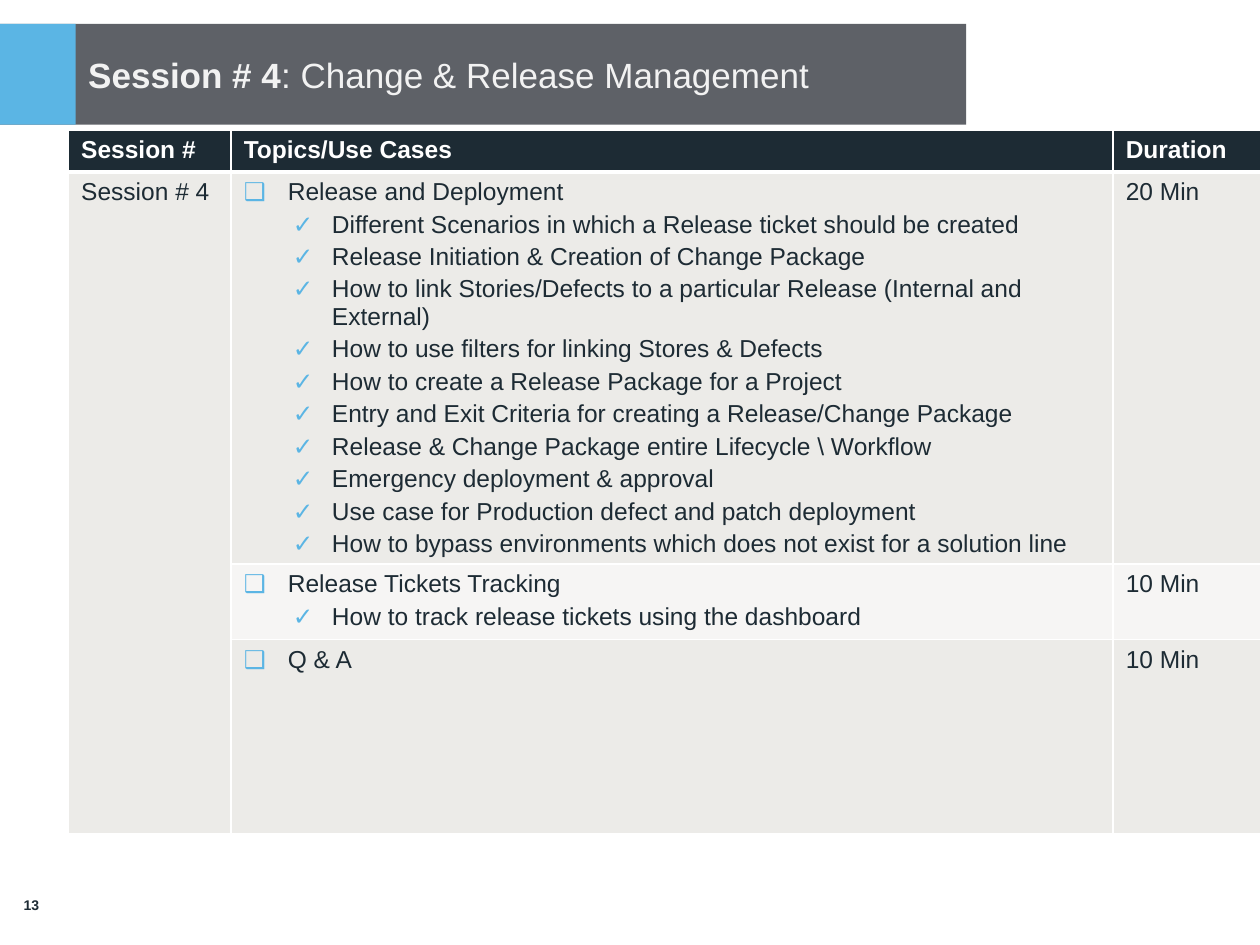
import pptx
import pptx.util
import pptx.dml.color
import pptx.enum.shapes
import pptx.enum.text
import pptx.oxml
import pptx.oxml.ns

Pt = pptx.util.Pt
RGB = pptx.dml.color.RGBColor
MIDDLE = pptx.enum.text.MSO_ANCHOR.MIDDLE
ALIGN = pptx.enum.text.PP_ALIGN

WHITE = RGB(0xFF, 0xFF, 0xFF)
OFF_WHITE = RGB(0xF2, 0xF2, 0xF2)
INK = RGB(0x1D, 0x2B, 0x34)
GREY = RGB(0x5E, 0x61, 0x67)
BLUE = RGB(0x5B, 0xB5, 0xE4)
BAND_DARK = RGB(0xEC, 0xEB, 0xE8)
BAND_LIGHT = RGB(0xF6, 0xF5, 0xF4)

HEADINGS = ["Session #", "Topics/Use Cases", "Duration"]
SESSION = "Session # 4"
TOPICS = [
    ("Release and Deployment", [
        "Different Scenarios in which a Release ticket should be created",
        "Release Initiation & Creation of Change Package",
        "How to link Stories/Defects to a particular Release (Internal and External)",
        "How to use filters for linking Stores & Defects",
        "How to create a Release Package for a Project",
        "Entry and Exit Criteria for creating a Release/Change Package",
        "Release & Change Package entire Lifecycle \\ Workflow",
        "Emergency deployment & approval",
        "Use case for Production defect and patch deployment",
        "How to bypass environments which does not exist for a solution line",
    ], "20 Min"),
    ("Release Tickets Tracking", ["How to track release tickets using the dashboard"], "10 Min"),
    ("Q & A", [], "10 Min"),
]
TITLE = [(SESSION, True), (": Change & Release Management", False)]
PAGE = "13"

COLUMNS = [92.9, 504, 84.2]
ROWS = [23.8, 223.5, 43.2, 110.9]
BULLETS = [("\u2751", 25.2, -25.2), ("\u2713", 50.4, -22.3)]
BANNER_TOP, BANNER_HEIGHT, BANNER_WIDTH, ACCENT_WIDTH = 13.7, 57.6, 552.2, 43.2


def write(paragraph, text, size, color, bold=False):
    run = paragraph.add_run()
    run.text = text
    look = {"name": "Arial", "size": Pt(size), "bold": bold}
    for key, value in look.items():
        setattr(run.font, key, value)
    run.font.color.rgb = color


def format_frame(frame, **look):
    for key, value in look.items():
        setattr(frame, key, value)


def add_xml(parent, tag, inner, attributes=""):
    parent.append(pptx.oxml.parse_xml(
        f'<a:{tag} {pptx.oxml.ns.nsdecls("a")} {attributes}>{inner}</a:{tag}>'))


def bullet(paragraph, level):
    mark, margin, indent = BULLETS[level]
    paragraph.level = level
    properties = paragraph._p.get_or_add_pPr()
    properties.set("marL", str(Pt(margin)))
    properties.set("indent", str(Pt(indent)))
    add_xml(properties, "spcBef", '<a:spcPct val="20000"/>')
    add_xml(properties, "buClr", f'<a:srgbClr val="{BLUE}"/>')
    add_xml(properties, "buFont", "", 'typeface="Arial"')
    add_xml(properties, "buChar", "", f'char="{mark}"')


def style_cell(cell, fill, top, bottom):
    properties = cell._tc.get_or_add_tcPr()
    for side, width in {"L": 1, "R": 1, "T": top, "B": bottom}.items():
        add_xml(properties, "ln" + side,
                f'<a:solidFill><a:srgbClr val="{WHITE}"/></a:solidFill>', f'w="{Pt(width)}"')
    cell.fill.solid()
    cell.fill.fore_color.rgb = fill


deck = pptx.Presentation()
deck.slide_width, deck.slide_height = Pt(720), Pt(540)
slide = deck.slides.add_slide(deck.slide_layouts[5])
shapes = slide.shapes

for width, color in [(BANNER_WIDTH, GREY), (ACCENT_WIDTH, BLUE)]:
    bar = shapes.add_shape(pptx.enum.shapes.MSO_SHAPE.RECTANGLE,
                           0, Pt(BANNER_TOP), Pt(width), Pt(BANNER_HEIGHT))
    bar.shadow.inherit = False
    bar.fill.solid()
    bar.fill.fore_color.rgb = color
    bar.line.fill.background()

title = shapes.title
title.element.getparent().append(title.element)
title.left, title.top = Pt(ACCENT_WIDTH), Pt(BANNER_TOP)
title.width, title.height = Pt(BANNER_WIDTH - ACCENT_WIDTH), Pt(BANNER_HEIGHT)
format_frame(title.text_frame, word_wrap=True, vertical_anchor=MIDDLE,
             auto_size=pptx.enum.text.MSO_AUTO_SIZE.NONE,
             margin_left=Pt(7.2), margin_right=Pt(7.2),
             margin_top=Pt(0.72), margin_bottom=Pt(0.72))
heading = title.text_frame.paragraphs[0]
heading.alignment = ALIGN.LEFT
for text, bold in TITLE:
    write(heading, text, 20, OFF_WHITE, bold)

agenda = shapes.add_table(len(ROWS), len(COLUMNS), Pt(39.2), Pt(74.5),
                          Pt(sum(COLUMNS)), Pt(sum(ROWS))).table
agenda.first_row = agenda.horz_banding = False
for column, width in zip(agenda.columns, COLUMNS):
    column.width = Pt(width)
for row, height in zip(agenda.rows, ROWS):
    row.height = Pt(height)

row_fills = [INK, BAND_DARK, BAND_LIGHT, BAND_DARK]
for r, fill in enumerate(row_fills):
    for c in range(len(COLUMNS)):
        style_cell(agenda.cell(r, c), BAND_DARK if r and c == 0 else fill,
                   3 if r == 1 else 1, 3 if r == 0 else 1)
agenda.cell(1, 0).merge(agenda.cell(len(TOPICS), 0))

for c, text in enumerate(HEADINGS):
    write(agenda.cell(0, c).text_frame.paragraphs[0], text, 14, WHITE, True)
write(agenda.cell(1, 0).text_frame.paragraphs[0], SESSION, 14, INK)
for r, (topic, use_cases, duration) in enumerate(TOPICS, 1):
    frame = agenda.cell(r, 1).text_frame
    for i, text in enumerate([topic] + use_cases):
        paragraph = frame.add_paragraph() if i else frame.paragraphs[0]
        bullet(paragraph, min(i, 1))
        write(paragraph, text, 14, INK)
    write(agenda.cell(r, 2).text_frame.paragraphs[0], duration, 14, INK)

page = shapes.add_textbox(0, Pt(494), Pt(36), Pt(46))
format_frame(page.text_frame, word_wrap=True, vertical_anchor=MIDDLE)
page.text_frame.paragraphs[0].alignment = ALIGN.CENTER
write(page.text_frame.paragraphs[0], PAGE, 8, INK, True)

deck.save("out.pptx")
